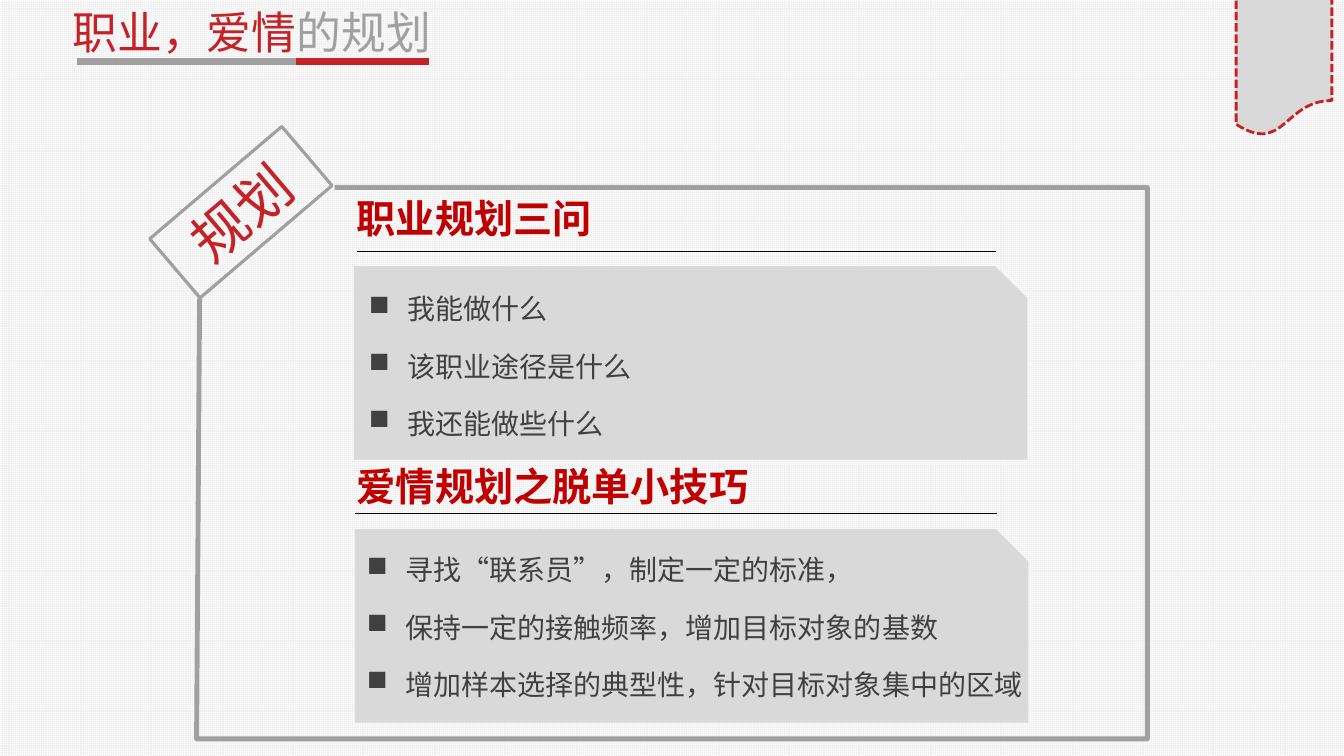
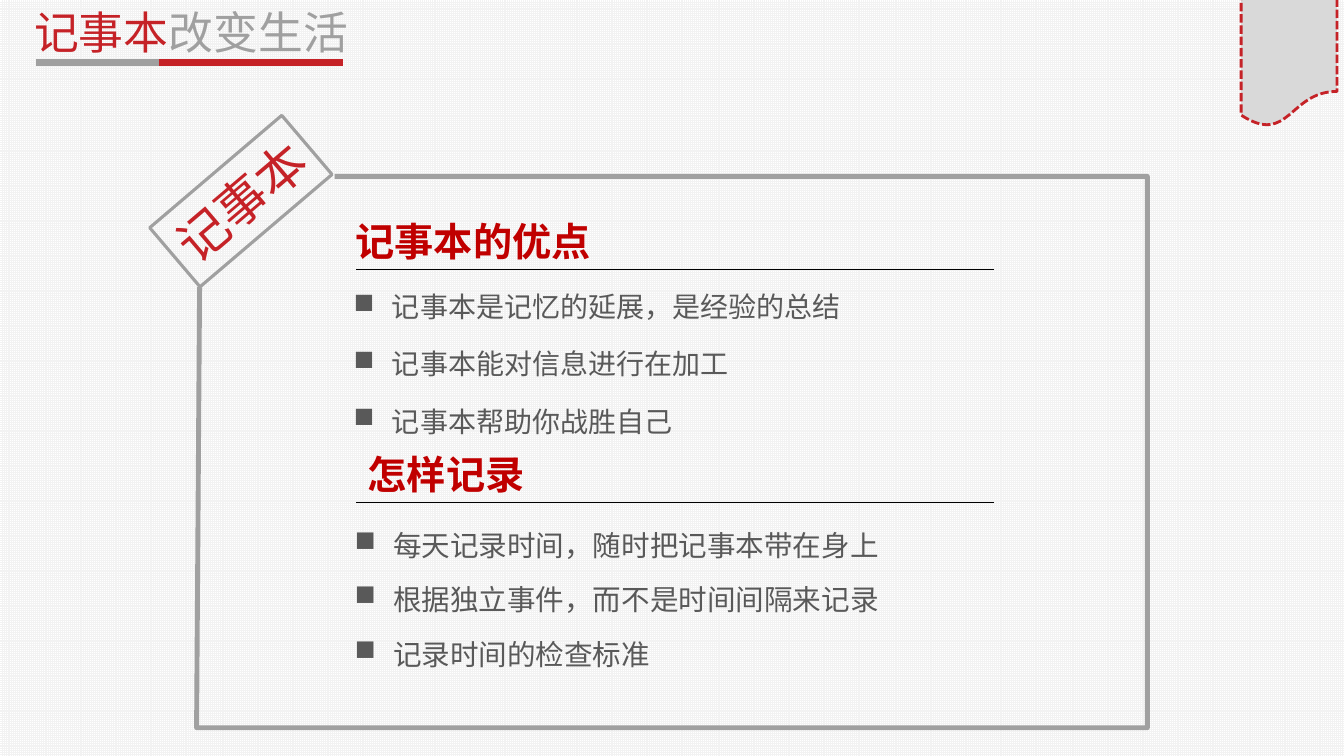
import pptx
import pptx.util
import pptx.dml.color
import pptx.enum.dml
import pptx.enum.shapes
import pptx.enum.text
import pptx.oxml.ns
from lxml import etree

Inches = pptx.util.Inches
Pt = pptx.util.Pt
RGBColor = pptx.dml.color.RGBColor
SHAPE = pptx.enum.shapes.MSO_SHAPE
ANCHOR = pptx.enum.text.MSO_ANCHOR
ALIGN = pptx.enum.text.PP_ALIGN
qn = pptx.oxml.ns.qn

RED = RGBColor(0xC5, 0x22, 0x27)
DEEP_RED = RGBColor(0xC0, 0x00, 0x00)
GREY = RGBColor(0xA0, 0xA0, 0xA0)
PANEL_GREY = RGBColor(0xD9, 0xD9, 0xD9)
GRID_GREY = RGBColor(0xF2, 0xF2, 0xF2)
DARK_TEXT = RGBColor(0x40, 0x40, 0x40)
MID_TEXT = RGBColor(0x59, 0x59, 0x59)
BLACK = RGBColor(0x00, 0x00, 0x00)
WHITE = RGBColor(0xFF, 0xFF, 0xFF)

BODY_FONT = "Noto Sans CJK SC"
TAG_FONT = "Noto Sans CJK JP"


def style_run(run, size, color, bold=False, face=BODY_FONT):
    run.font.size = Pt(size)
    run.font.bold = bold
    run.font.color.rgb = color
    run.font.name = face
    latin = run.font._element.find(qn("a:latin"))
    east_asian = etree.Element(qn("a:ea"), typeface=face)
    latin.addnext(east_asian)


def paint(shape, fill=None, line=None, width=0):
    shape.shadow.inherit = False
    if fill is None:
        shape.fill.background()
    else:
        shape.fill.solid()
        shape.fill.fore_color.rgb = fill
    if line is None:
        shape.line.fill.background()
    else:
        shape.line.color.rgb = line
        shape.line.width = Pt(width)


def add_rule(slide, start, end, y, color, width):
    rule = slide.shapes.add_connector(
        pptx.enum.shapes.MSO_CONNECTOR.STRAIGHT,
        Inches(start), Inches(y), Inches(end), Inches(y))
    rule.line.color.rgb = color
    rule.line.width = Pt(width)
    etree.SubElement(rule._element.spPr, qn("a:effectLst"))


def add_text_box(slide, left, top, width, height):
    frame = slide.shapes.add_textbox(
        Inches(left), Inches(top), Inches(width), Inches(height)).text_frame
    frame.word_wrap = True
    return frame


def add_title(slide, left, width, red_part, grey_part, bar_y, bar_stops):
    frame = add_text_box(slide, left, 0, width, 0.64)
    frame.auto_size = pptx.enum.text.MSO_AUTO_SIZE.SHAPE_TO_FIT_TEXT
    for words, color in ((red_part, RED), (grey_part, GREY)):
        run = frame.paragraphs[0].add_run()
        run.text = words
        style_run(run, 32, color)
    start, turn, end = bar_stops
    add_rule(slide, start, turn, bar_y, GREY, 5.25)
    add_rule(slide, turn, end, bar_y, RED, 5.25)


def add_ribbon(slide, left, top):
    ribbon = slide.shapes.add_shape(
        SHAPE.FLOWCHART_DOCUMENT,
        Inches(left), Inches(top), Inches(0.95), Inches(1.78))
    paint(ribbon, PANEL_GREY, RED, 2)
    ribbon.line.dash_style = pptx.enum.dml.MSO_LINE.SQUARE_DOT


def add_tagged_frame(slide, top, tag_words, tag_size):
    left, right, bottom = 1.95, 11.38, top + 5.47
    outline = slide.shapes.build_freeform(Inches(left + 1.37), Inches(top))
    corners = [(right, top), (right, bottom), (left, bottom),
               (left + 0.03, top + 1.1)]
    outline.add_line_segments(
        [(Inches(x), Inches(y)) for x, y in corners], close=False)
    paint(outline.convert_to_shape(), line=GREY, width=3.5)

    tag = slide.shapes.add_shape(
        SHAPE.RECTANGLE, Inches(left - 0.42), Inches(top - 0.14),
        Inches(1.72), Inches(0.77))
    tag.rotation = 319.6
    paint(tag, line=GREY, width=2.25)
    frame = tag.text_frame
    frame.word_wrap = False
    frame.vertical_anchor = ANCHOR.MIDDLE
    frame.text = tag_words
    frame.paragraphs[0].alignment = ALIGN.CENTER
    style_run(frame.paragraphs[0].runs[0], tag_size, RED, face=TAG_FONT)


def add_panel(slide, left, top):
    panel = slide.shapes.add_shape(
        SHAPE.SNIP_1_RECTANGLE,
        Inches(left), Inches(top), Inches(6.68), Inches(1.92))
    paint(panel, PANEL_GREY)


def add_heading(slide, left, top, words, rule_start, rule_end, rule_y):
    frame = add_text_box(slide, left, top, 6, 0.71)
    frame.vertical_anchor = ANCHOR.MIDDLE
    frame.text = words
    style_run(frame.paragraphs[0].runs[0], 28, DEEP_RED, bold=True)
    add_rule(slide, rule_start, rule_end, rule_y, BLACK, 0.5)


def add_bullets(slide, left, top, points, color, size=20, spacing=1.2):
    frame = add_text_box(slide, left, top, 6.8, 1.73)
    frame.text = "\n".join(points)
    for index, paragraph in enumerate(frame.paragraphs):
        properties = paragraph._p.get_or_add_pPr()
        properties.set("marL", str(Inches(0.38)))
        properties.set("indent", str(-Inches(0.38)))
        etree.SubElement(properties, qn("a:buChar"), char="■")
        paragraph.line_spacing = spacing
        paragraph.space_before = Pt(6 if index else 0)
        paragraph.space_after = Pt(6)
        style_run(paragraph.runs[0], size, color)


def build_planning(slide):
    add_panel(slide, 3.51, 2.64)
    add_panel(slide, 3.52, 5.25)
    add_title(slide, 0.62, 4.42, "职业，爱情", "的规划", 0.61, (0.76, 2.94, 4.25))
    add_heading(slide, 3.44, 1.81, "职业规划三问", 3.54, 9.88, 2.49)
    add_bullets(slide, 3.56, 2.78,
                ["我能做什么", "该职业途径是什么", "我还能做些什么"], DARK_TEXT)
    add_heading(slide, 3.44, 4.46, "爱情规划之脱单小技巧", 3.52, 9.89, 5.09)
    add_bullets(slide, 3.54, 5.37,
                ["寻找“联系员”，制定一定的标准，",
                 "保持一定的接触频率，增加目标对象的基数",
                 "增加样本选择的典型性，针对目标对象集中的区域"], DARK_TEXT)
    add_ribbon(slide, 12.26, -0.43)
    add_tagged_frame(slide, 1.86, "规划", 40)


def build_notebook(slide):
    add_ribbon(slide, 12.31, -0.52)
    add_heading(slide, 3.43, 2.03, "记事本的优点", 3.53, 9.86, 2.67)
    add_bullets(slide, 3.41, 2.76,
                ["记事本是记忆的延展，是经验的总结",
                 "记事本能对信息进行在加工",
                 "记事本帮助你战胜自己"], MID_TEXT)
    add_heading(slide, 3.55, 4.35, "怎样记录", 3.53, 9.86, 4.98)
    add_bullets(slide, 3.42, 5.15,
                ["每天记录时间，随时把记事本带在身上",
                 "根据独立事件，而不是时间间隔来记录",
                 "记录时间的检查标准"], MID_TEXT, 20.4, 1.1)
    add_tagged_frame(slide, 1.75, "记事本", 36)
    add_title(slide, 0.24, 3.36, "记事本", "改变生活", 0.62, (0.36, 1.58, 3.4))


def main():
    deck = pptx.Presentation()
    deck.slide_width = Inches(13.33)
    deck.slide_height = Inches(7.5)
    backdrop = deck.slide_master.background.fill
    backdrop.patterned()
    backdrop.pattern = pptx.enum.dml.MSO_PATTERN.SMALL_GRID
    backdrop.fore_color.rgb = GRID_GREY
    backdrop.back_color.rgb = WHITE
    for build in (build_planning, build_notebook):
        build(deck.slides.add_slide(deck.slide_layouts[6]))
    deck.save("out.pptx")


if __name__ == "__main__":
    main()
